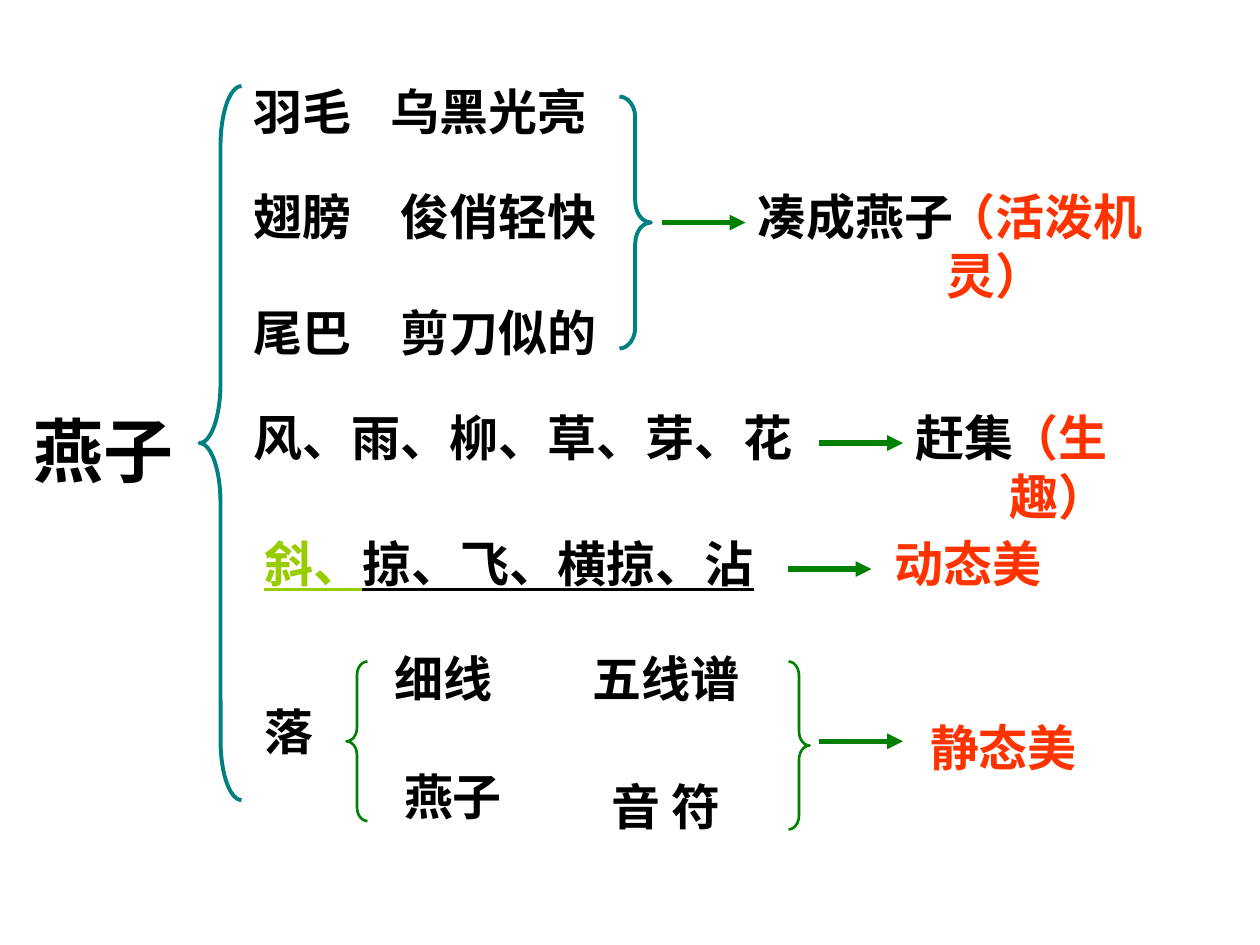
from lxml import etree
from pptx import Presentation
from pptx import util as u
from pptx.dml.color import RGBColor
from pptx.enum import lang, shapes, text
from pptx.oxml import ns

COLORS = {"black": "000000", "red": "FF3300", "lime": "99CC00",
          "teal": "008080", "green": "008000"}
FONT = "Times New Roman"
SLIDE_WIDTH, SLIDE_HEIGHT = 10, 7.5
UNIT = SLIDE_WIDTH / 120  # one column or row of the grid
TOP = 0.1                 # where row 0 starts
LINE_ROWS = 6.84          # height of a one-line box

# column, row, columns wide, words, colour
LABELS = [
    (23, 6, 12, "羽毛", "black"),
    (36, 6, 23, "乌黑光亮", "black"),
    (23, 16, 12, "翅膀", "black"),
    (37, 16, 24, "俊俏轻快", "black"),
    (23, 27, 12, "尾巴", "black"),
    (37, 27, 24, "剪刀似的", "black"),
    (71, 16, 23, "凑成燕子", "black"),
    (89, 16, 29, "（活泼机灵）", "red"),
    (23, 37, 54, "风、雨、柳、草、芽、花", "black"),
    (86, 37, 12, "赶集", "black"),
    (95, 37, 18, "（生趣）", "red"),
    (84, 49, 22, "动态美", "red"),
    (24, 65, 7.1, "落", "black"),
    (36.4, 60, 23, "细线", "black"),
    (55.3, 60, 17, "五线谱", "black"),
    (37.3, 71.2, 16, "燕子", "black"),
    (57.1, 72.2, 14, "音 符", "black"),
    (87.4, 66.5, 18, "静态美", "red"),
]
VERBS = [("斜、", "lime"), ("掠、飞、横掠、沾", "black")]

# side, column, row, columns wide, rows high, curve, colour, line width
BRACES = [
    ("left", 19, 7, 4, 68, 1.42, "teal", 2.25),
    ("right", 59, 8, 3, 24, 0.67, "teal", 2.25),
    ("left", 33, 61.8, 2, 15.2, 0.65, "green", 1.5),
    ("right", 75.1, 61.8, 2, 16, 0.67, "green", 1.5),
]
BRACE_KINDS = {"left": shapes.MSO_SHAPE.LEFT_BRACE,
               "right": shapes.MSO_SHAPE.RIGHT_BRACE}

ARROWS = [(63, 20), (78, 41), (75, 53), (78, 69.4)]  # column, row of the tail
ARROW_COLUMNS = 8


def across(columns):
    return u.Inches(columns * UNIT)


def down(row):
    return u.Inches(TOP + row * UNIT)


def rgb(name):
    return RGBColor.from_string(COLORS[name])


def add_text(slide, column, row, columns, runs, rows=LINE_ROWS, size=28,
             underline=None):
    """Add a text box from (words, colour) runs."""
    box = slide.shapes.add_textbox(across(column), down(row),
                                   across(columns), across(rows))
    frame = box.text_frame
    frame.word_wrap = True
    frame.auto_size = text.MSO_AUTO_SIZE.NONE
    for words, color in runs:
        run = frame.paragraphs[0].add_run()
        run.text = words
        font = run.font
        font.name, font.size, font.bold = FONT, u.Pt(size), True
        font.underline = underline
        font.color.rgb = rgb(color)
        font.language_id = lang.MSO_LANGUAGE_ID.SIMPLIFIED_CHINESE


def add_brace(slide, side, column, row, columns, rows, curve, color, width):
    brace = slide.shapes.add_shape(BRACE_KINDS[side], across(column), down(row),
                                   across(columns), across(rows))
    brace.adjustments[0] = curve
    brace.shadow.inherit = False
    brace.fill.background()
    brace.line.color.rgb = rgb(color)
    brace.line.width = u.Pt(width)


def add_arrow(slide, column, row):
    arrow = slide.shapes.add_connector(
        shapes.MSO_CONNECTOR.STRAIGHT, across(column), down(row),
        across(column + ARROW_COLUMNS), down(row))
    arrow.line.color.rgb = rgb("green")
    arrow.line.width = u.Pt(3)
    etree.SubElement(arrow.line._get_or_add_ln(), ns.qn("a:tailEnd"),
                     type="triangle")
    etree.SubElement(arrow._element.spPr, ns.qn("a:effectLst"))


def main():
    presentation = Presentation()
    presentation.slide_width = u.Inches(SLIDE_WIDTH)
    presentation.slide_height = u.Inches(SLIDE_HEIGHT)
    slide = presentation.slides.add_slide(presentation.slide_layouts[6])

    for brace in BRACES:
        add_brace(slide, *brace)
    for column, row, columns, words, color in LABELS:
        # bracketed remarks run over two lines
        rows = 12.5 if words.startswith("（") else LINE_ROWS
        add_text(slide, column, row, columns, [(words, color)], rows=rows)
    add_text(slide, 24, 49, 56, VERBS, underline=True)
    add_text(slide, 2, 37, 21, [("燕子", "black")], rows=9.24, size=40)
    for arrow in ARROWS:
        add_arrow(slide, *arrow)

    presentation.save("out.pptx")


if __name__ == "__main__":
    main()
